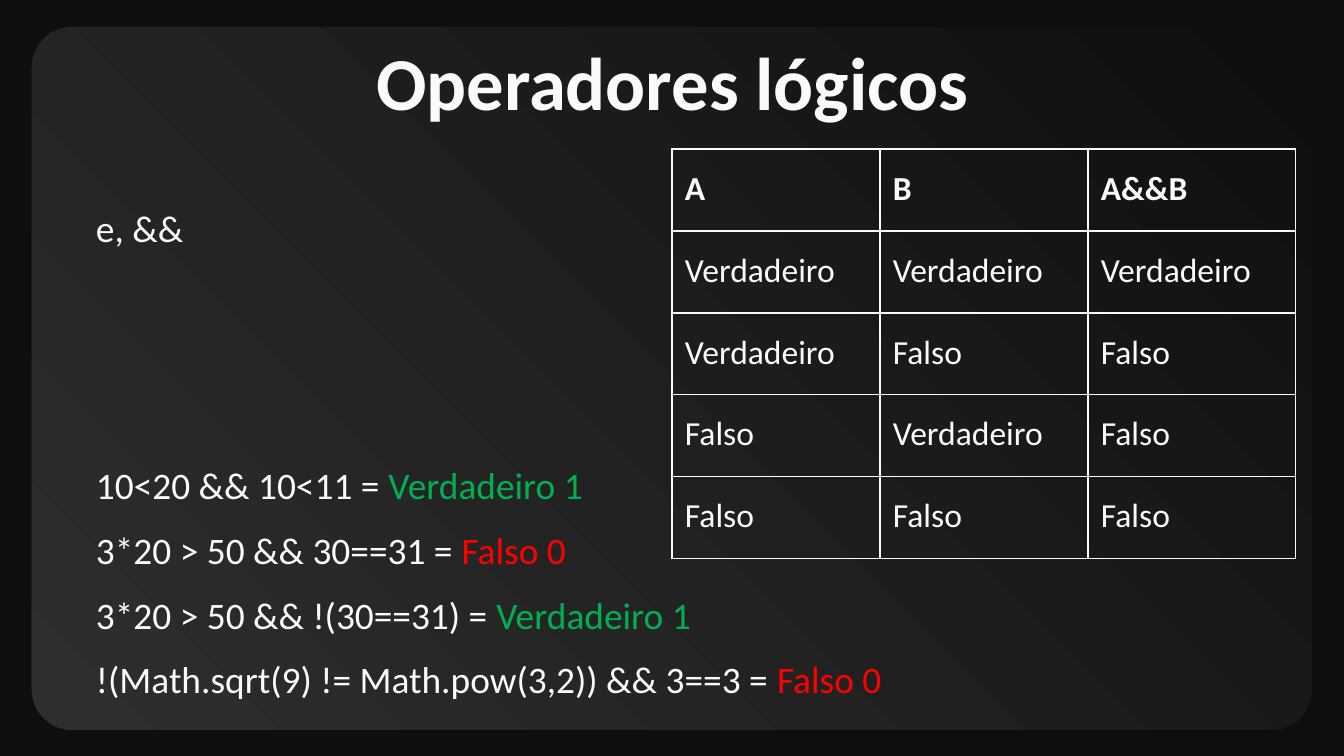
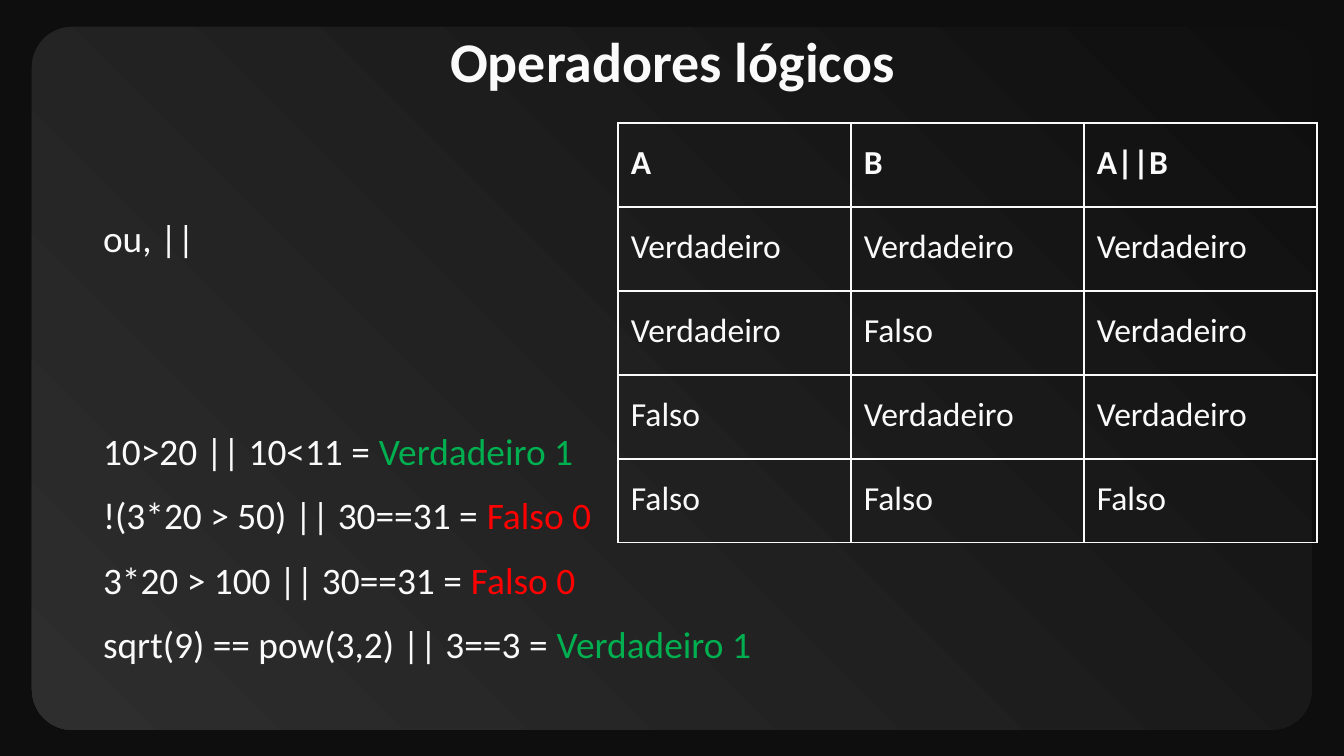
from lxml import etree
from pptx import Presentation
from pptx.dml.color import RGBColor
from pptx.enum.shapes import MSO_SHAPE
from pptx.enum.text import MSO_ANCHOR, MSO_AUTO_SIZE, PP_ALIGN
from pptx.oxml.ns import qn
from pptx.util import Emu, Pt

ROUNDED = MSO_SHAPE.ROUNDED_RECTANGLE
TOP = MSO_ANCHOR.TOP
NO_FIT = MSO_AUTO_SIZE.NONE
CENTER = PP_ALIGN.CENTER
LEFT = PP_ALIGN.LEFT

# Shared look
BACKDROP = RGBColor(0x0E, 0x0E, 0x0E)
PANEL_DARK = RGBColor(0x0F, 0x0F, 0x0F)
PANEL_LIGHT = RGBColor(0x2E, 0x2E, 0x2E)
INK = RGBColor(0xFA, 0xFA, 0xFA)
GREEN = RGBColor(0x00, 0xB0, 0x50)
RED = RGBColor(0xFF, 0x00, 0x00)
FONT = "Calibri"
BORDER_WIDTH = Pt(0.75)

PAGE_WIDTH, PAGE_HEIGHT = 1344, 756
EMU_PER_INCH, PX_PER_INCH = 914400, 134.4
PANEL_BOX = (32, 27, 1280, 703)
INSET = 13
INDENT = 67

TRUE, FALSE = "Verdadeiro", "Falso"
RESULTS = {True: (TRUE + " 1", GREEN), False: (FALSE + " 0", RED)}
OPERANDS = [(True, True), (True, False), (False, True), (False, False)]


def px(length):
    return Emu(round(length * EMU_PER_INCH / PX_PER_INCH))


def place(shape, box):
    shape.left, shape.top, shape.width, shape.height = map(px, box)


def set_frame(frame):
    frame.word_wrap = True
    frame.auto_size = NO_FIT
    frame.vertical_anchor = TOP
    frame.margin_left = frame.margin_right = px(INSET)
    frame.margin_top = frame.margin_bottom = px(INSET)


def write(para, text, size=20, color=INK, bold=False, align=LEFT,
          spacing=1.15, before=0, indent=0):
    """Append a formatted span to a paragraph and format the paragraph."""
    para.alignment = align
    para.line_spacing = spacing
    para.space_before = Pt(before)
    if indent:
        properties = para._p.get_or_add_pPr()
        properties.set("marL", str(px(indent)))
        properties.set("indent", "0")
    span = para.add_run()
    span.text = text
    span.font.name = FONT
    span.font.size = Pt(size)
    span.font.bold = bold
    span.font.color.rgb = color


def add_panel(page, box):
    panel = page.shapes.add_shape(ROUNDED, *map(px, box))
    panel.adjustments[0] = 0.057
    panel.shadow.inherit = False
    panel.line.fill.background()
    panel.fill.gradient()
    panel.fill.gradient_angle = 225
    for stop, color, position in zip(panel.fill.gradient_stops,
                                     (PANEL_DARK, PANEL_LIGHT), (0, 1)):
        stop.color.rgb = color
        stop.position = position
    # Keep the panel behind the title
    page.shapes.title.element.addprevious(panel.element)


def add_title(page, text, box, size):
    title = page.shapes.title
    place(title, box)
    set_frame(title.text_frame)
    write(title.text_frame.paragraphs[0], text, size=size, bold=True,
          align=CENTER, spacing=1.0)


def add_examples(page, box, heading, examples, gap):
    """Operator name, then expressions with coloured results after a gap."""
    frame = page.shapes.add_textbox(*map(px, box)).text_frame
    set_frame(frame)
    write(frame.paragraphs[0], heading, before=7, indent=INDENT)
    for number, (expression, outcome) in enumerate(examples):
        para = frame.add_paragraph()
        layout = {"before": 7 if number else gap, "indent": INDENT}
        result, color = RESULTS[outcome]
        write(para, expression + " = ", **layout)
        write(para, result, color=color, **layout)


def set_borders(cell):
    properties = cell._tc.get_or_add_tcPr()
    for side in ("lnL", "lnR", "lnT", "lnB"):
        line = etree.SubElement(properties, qn("a:" + side), w=str(BORDER_WIDTH))
        fill = etree.SubElement(line, qn("a:solidFill"))
        etree.SubElement(fill, qn("a:srgbClr"), val=str(INK))


def add_truth_table(page, left, top, column_width, row_height, symbol, operator):
    rows = [("A", "B", "A" + symbol + "B")]
    for a, b in OPERANDS:
        rows.append([TRUE if value else FALSE for value in (a, b, operator(a, b))])
    columns = len(rows[0])
    table = page.shapes.add_table(
        len(rows), columns, px(left), px(top),
        px(columns * column_width), px(len(rows) * row_height)).table
    table.first_row = table.horz_banding = False
    for column in table.columns:
        column.width = px(column_width)
    for row_number, values in enumerate(rows):
        table.rows[row_number].height = px(row_height)
        for column_number, value in enumerate(values):
            cell = table.cell(row_number, column_number)
            cell.margin_left = cell.margin_right = px(INSET)
            cell.margin_top = cell.margin_bottom = px(INSET)
            set_borders(cell)
            cell.fill.background()
            write(cell.text_frame.paragraphs[0], value, size=18,
                  bold=row_number == 0)


def add_page(deck, title_box, title_size):
    page = deck.slides.add_slide(deck.slide_layouts.get_by_name("Title Only"))
    add_panel(page, PANEL_BOX)
    add_title(page, "Operadores lógicos", title_box, title_size)
    return page


def build_and_page(deck):
    page = add_page(deck, (106, 23, 1133, 126), 40)
    add_examples(page, (16, 185, 1223, 536), "e, &&", [
        ("10<20 && 10<11", True),
        ("3*20 > 50 && 30==31", False),
        ("3*20 > 50 && !(30==31)", True),
        ("!(Math.sqrt(9) != Math.pow(3,2)) && 3==3", False),
    ], gap=110.5)
    add_truth_table(page, 672, 149, 208, 82, "&&", lambda a, b: a and b)


def build_or_page(deck):
    page = add_page(deck, (106, 13, 1133, 136), 30)
    add_examples(page, (23, 195, 1207, 539), "ou, ||", [
        ("10>20 || 10<11", True),
        ("!(3*20 > 50) || 30==31", False),
        ("3*20 > 100 || 30==31", False),
        ("sqrt(9) == pow(3,2) || 3==3", True),
    ], gap=86.5)
    add_truth_table(page, 618, 123, 233, 84, "||", lambda a, b: a or b)


def main():
    deck = Presentation()
    deck.slide_width, deck.slide_height = px(PAGE_WIDTH), px(PAGE_HEIGHT)
    backdrop = deck.slide_master.background.fill
    backdrop.solid()
    backdrop.fore_color.rgb = BACKDROP
    build_and_page(deck)
    build_or_page(deck)
    deck.save("out.pptx")


if __name__ == "__main__":
    main()
